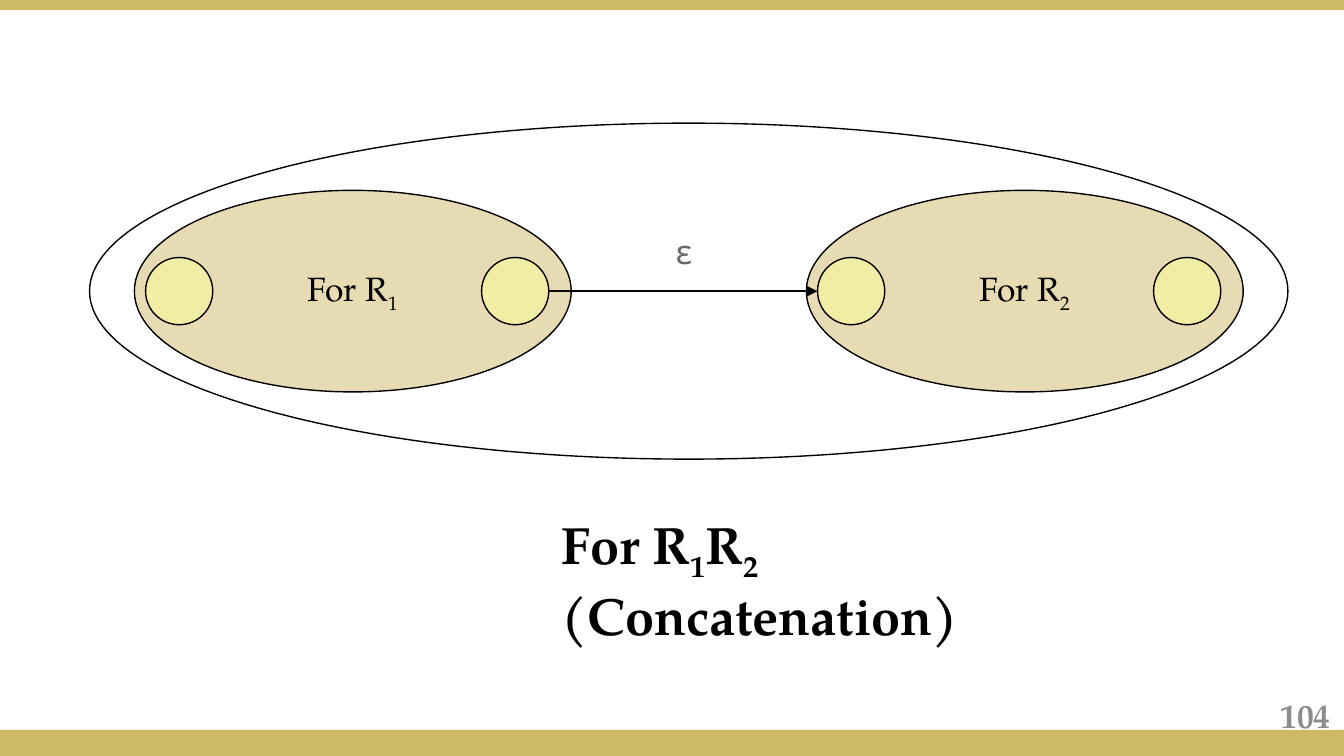
from dataclasses import dataclass

import pptx
import pptx.dml.color
import pptx.enum.shapes
import pptx.enum.text
import pptx.oxml
import pptx.oxml.ns
import pptx.util

Pt = pptx.util.Pt
SHAPE = pptx.enum.shapes.MSO_SHAPE
ALIGN = pptx.enum.text.PP_ALIGN
ANCHOR = pptx.enum.text.MSO_ANCHOR
qn = pptx.oxml.ns.qn


@dataclass(frozen=True)
class Theme:
    gold: str = "CEB966"
    state: str = "FFFF99"
    ink: str = "000000"
    grey: str = "8C8C8C"
    label: str = "69676D"
    serif: str = "TeX Gyre Pagella"
    mono: str = "Noto Sans Mono"
    body: int = 18
    caption: int = 28
    line: float = 0.75


THEME = Theme()


def rgb(color):
    return pptx.dml.color.RGBColor.from_string(color)


def add_run(p, text, size=THEME.body, color=THEME.ink, font=THEME.serif, bold=False, sub=False):
    r = p.add_run()
    r.text = text
    r.font.size = Pt(size)
    r.font.name = font
    r.font.bold = bold
    r.font.color.rgb = rgb(color)
    if sub:
        r.font._element.set("baseline", "-25000")


def add_bar(slide, top, height):
    sp = slide.shapes.add_shape(SHAPE.RECTANGLE, 0, Pt(top), Pt(720), Pt(height))
    sp.shadow.inherit = False
    sp.fill.solid()
    sp.fill.fore_color.rgb = rgb(THEME.gold)
    sp.line.fill.background()


def add_ellipse(slide, left, top, width, height, fill=None):
    """Outlined ellipse, half transparent when a fill is given."""
    sp = slide.shapes.add_shape(SHAPE.OVAL, Pt(left), Pt(top), Pt(width), Pt(height))
    sp.shadow.inherit = False
    sp.line.color.rgb = rgb(THEME.ink)
    sp.line.width = Pt(THEME.line)
    if fill:
        sp.fill.solid()
        sp.fill.fore_color.rgb = rgb(fill)
        color = sp._element.spPr.find(qn("a:solidFill")).find(qn("a:srgbClr"))
        pptx.oxml.parse_xml(
            '<a:alpha xmlns:a="http://schemas.openxmlformats.org/drawingml/2006/main" val="50000"/>'
        )
        color.makeelement(qn("a:alpha"))
        alpha = color.makeelement(qn("a:alpha"), {"val": "50000"})
        color.append(alpha)
    else:
        sp.fill.background()
    return sp


def add_text(slide, left, top, width, height, anchor=ANCHOR.TOP, align=ALIGN.LEFT):
    """Empty wrapping text box; returns its paragraph."""
    tf = slide.shapes.add_textbox(Pt(left), Pt(top), Pt(width), Pt(height)).text_frame
    tf.word_wrap = True
    tf.vertical_anchor = anchor
    p = tf.paragraphs[0]
    p.alignment = align
    return p


def add_automaton(slide, left, index):
    """Machine for one expression, with its start and accepting states."""
    sp = add_ellipse(slide, left, 102, 234, 108, THEME.gold)
    tf = sp.text_frame
    tf.word_wrap = False
    tf.vertical_anchor = ANCHOR.MIDDLE
    p = tf.paragraphs[0]
    p.alignment = ALIGN.CENTER
    add_run(p, "For R")
    add_run(p, index, sub=True)
    for offset in (186, 6):
        add_ellipse(slide, left + offset, 138, 36, 36, THEME.state)


def add_arrow(slide, x1, x2, y):
    cxn = slide.shapes.add_connector(
        pptx.enum.shapes.MSO_CONNECTOR.STRAIGHT, Pt(x1), Pt(y), Pt(x2), Pt(y))
    cxn.line.color.rgb = rgb(THEME.ink)
    cxn.line.width = Pt(THEME.line)
    ln = cxn.line._get_or_add_ln()
    ln.append(ln.makeelement(qn("a:tailEnd"), {"type": "triangle"}))
    spPr = cxn._element.spPr
    spPr.append(spPr.makeelement(qn("a:effectLst")))


def add_caption(slide):
    p = add_text(slide, 294, 270.75, 344, 41)
    for text, sub in (("For R", False), ("1", True), ("R", False), ("2", True)):
        add_run(p, text, THEME.caption, bold=True, sub=sub)
    p.add_line_break()
    add_run(p, "(Concatenation)", THEME.caption, bold=True)


def main():
    prs = pptx.Presentation()
    prs.slide_width, prs.slide_height = Pt(720), Pt(405)
    slide = prs.slides.add_slide(prs.slide_layouts[6])

    add_bar(slide, 391, 14)
    add_bar(slide, 0, 5.5)
    p = add_text(slide, 552, 372.5, 168, 21.5, ANCHOR.MIDDLE, ALIGN.RIGHT)
    add_run(p, "104", color=THEME.grey, bold=True)

    add_automaton(slide, 72, "1")
    add_automaton(slide, 432, "2")
    add_ellipse(slide, 48, 66, 642, 180)
    add_caption(slide)

    add_arrow(slide, 294, 438, 156)
    p = add_text(slide, 354, 120, 27.5, 36)
    add_run(p, "ε", color=THEME.label, font=THEME.mono)

    prs.save("out.pptx")


if __name__ == "__main__":
    main()
